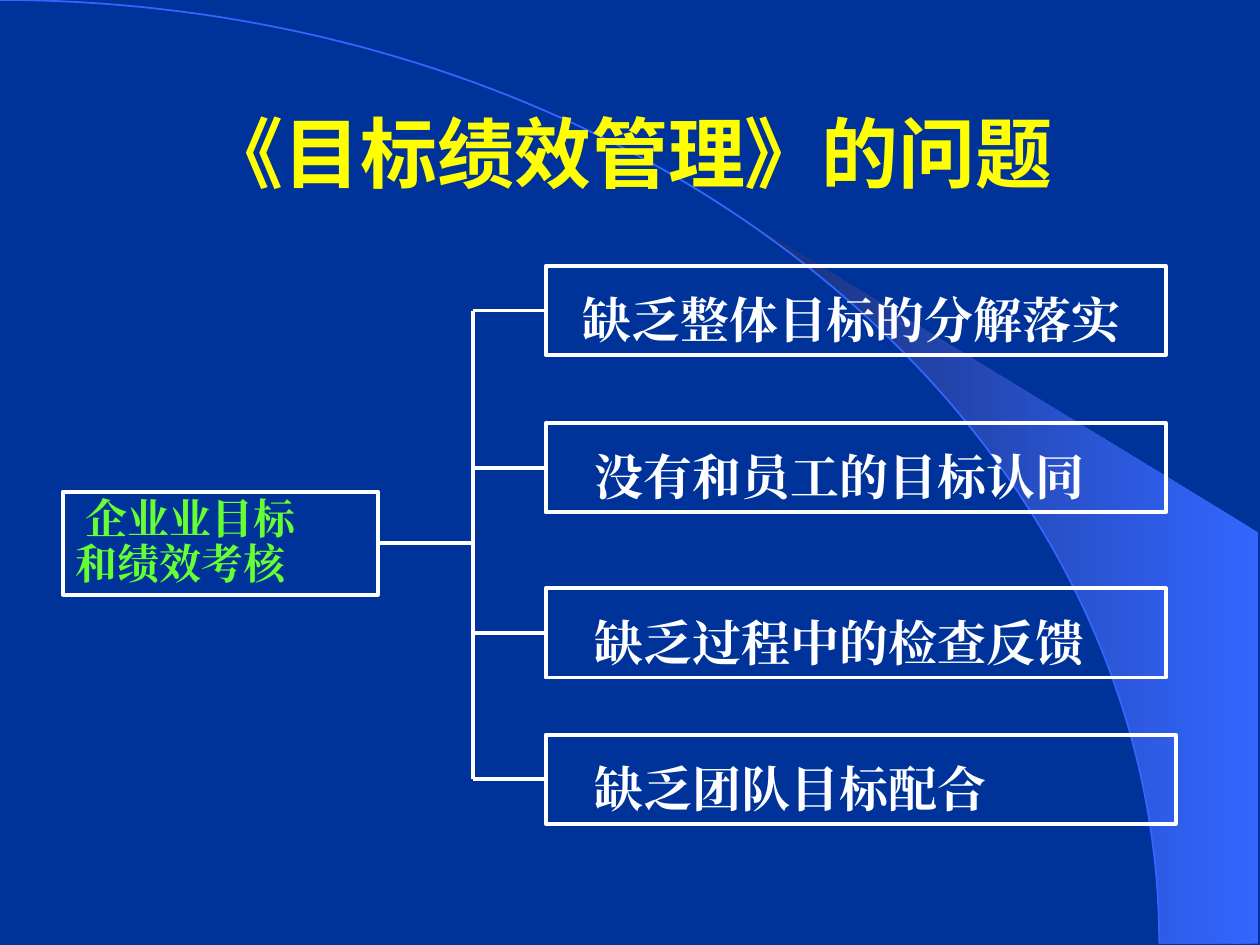
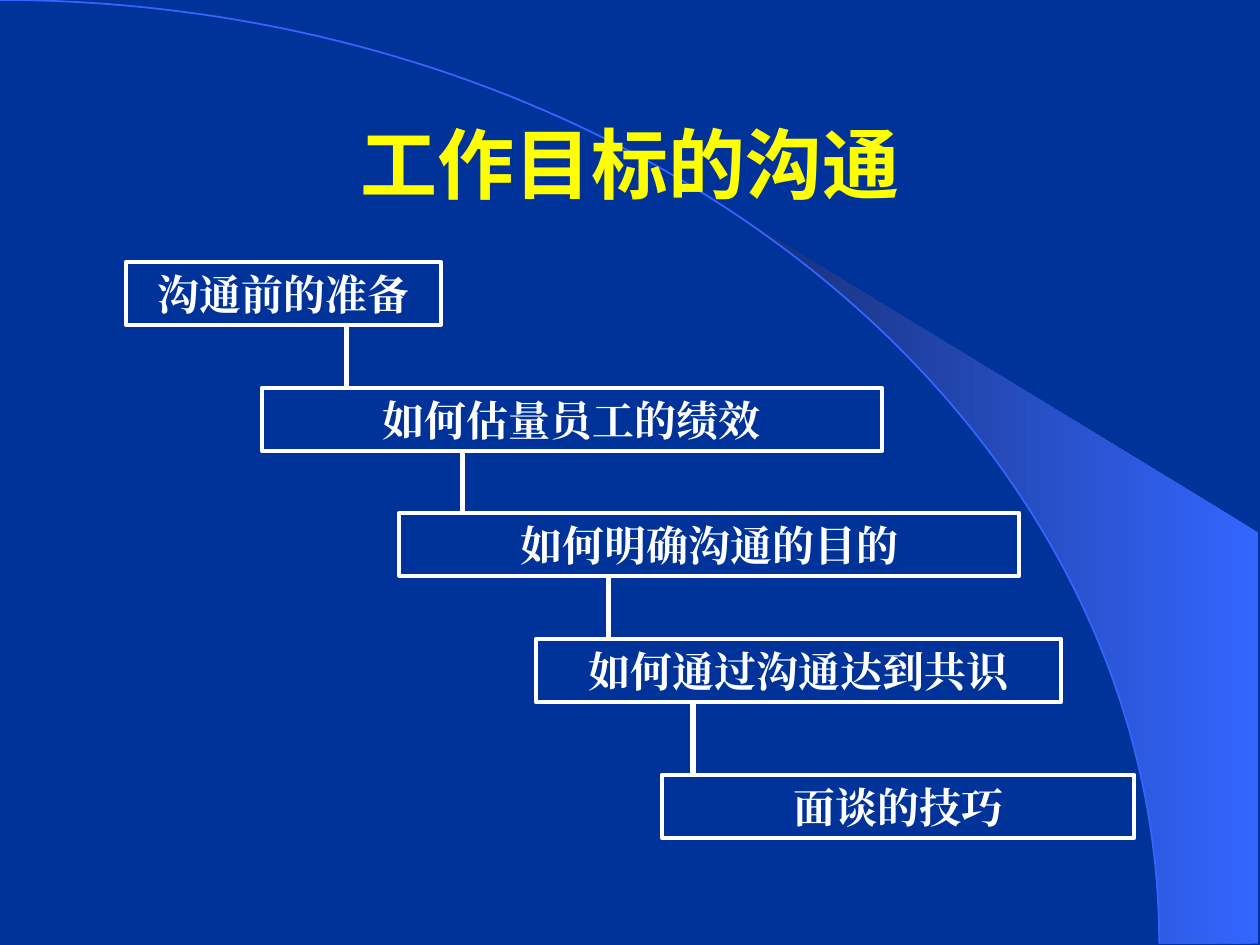
from dataclasses import dataclass
from itertools import pairwise
from math import cos, radians, sin

from lxml import etree
from pptx import Presentation
from pptx.dml.color import RGBColor
from pptx.enum.shapes import MSO_CONNECTOR, MSO_SHAPE
from pptx.enum.text import MSO_ANCHOR, PP_ALIGN
from pptx.oxml.ns import qn
from pptx.util import Cm, Pt

RECT = MSO_SHAPE.RECTANGLE
STRAIGHT = MSO_CONNECTOR.STRAIGHT
LEFT, CENTER = PP_ALIGN.LEFT, PP_ALIGN.CENTER
TOP, MIDDLE = MSO_ANCHOR.TOP, MSO_ANCHOR.MIDDLE
SIDE_LEFT, SIDE_RIGHT = 1, 3

COLORS = {
    "background": "003399",
    "beam": "3366FF",
    "beam_dark": "172F75",
    "title": "FFFF00",
    "white": "FFFFFF",
    "green": "66FF33",
}
BODY_FONT = "Times New Roman"
ARC_RX, ARC_RY = 23.37, 19.02
BEAM_START = 39.8
BEAM_RIGHT, BEAM_TOP = 25.37, 10.74
TRUNK_X = 9.53


@dataclass
class Box:
    text: str
    left: float
    top: float
    width: float
    height: float
    size: float = 24
    color: str = "white"
    align: PP_ALIGN = CENTER
    spacing: float = 1.0
    margin: float = 0
    indent: float = 0


@dataclass
class Problem(Box):
    size: float = 28
    align: PP_ALIGN = LEFT
    spacing: float = 1.3
    margin: float = 0.74


@dataclass
class Step(Box):
    height: float = 1.27
    link_x: float = 0


ROOT = Box("企业业目标\v和绩效考核", 1.27, 9.91, 6.35, 2.08, color="green",
           align=LEFT, spacing=0.9, indent=0.21)
PROBLEMS = [
    Problem("缺乏整体目标的分解落实", 11, 5.36, 12.5, 1.8, margin=0.49),
    Problem("没有和员工的目标认同", 11, 8.53, 12.5, 1.8),
    Problem("缺乏过程中的检查反馈", 11, 11.86, 12.5, 1.8),
    Problem("缺乏团队目标配合", 11, 14.81, 12.7, 1.8),
]
STEPS = [
    Step("沟通前的准备", 2.54, 5.28, 6.35, link_x=6.99),
    Step("如何估量员工的绩效", 5.28, 7.82, 12.5, link_x=9.32),
    Step("如何明确沟通的目的", 8.05, 10.34, 12.5, link_x=12.27),
    Step("如何通过沟通达到共识", 10.8, 12.88, 10.59, link_x=13.97),
    Step("面谈的技巧", 13.34, 15.62, 9.53),
]


def rgb(name: str) -> RGBColor:
    return RGBColor.from_string(COLORS[name])


def write(sp, text: str, *, size: float, color: str, font: str = BODY_FONT,
          align: PP_ALIGN = CENTER, anchor: MSO_ANCHOR = TOP,
          spacing: float = 1.0, margin: float = 0, indent: float = 0) -> None:
    tf = sp.text_frame
    tf.word_wrap = True
    tf.vertical_anchor = anchor
    p = tf.paragraphs[0]
    p.text = text
    p.alignment = align
    p.line_spacing = spacing
    pPr = p._p.get_or_add_pPr()
    pPr.set("marL", str(Cm(margin)))
    pPr.set("indent", str(Cm(indent)))
    for r in p.runs:
        r.font.size = Pt(size)
        r.font.bold = True
        r.font.name = font
        r.font.color.rgb = rgb(color)
        ea = etree.SubElement(r._r.get_or_add_rPr(), qn("a:ea"))
        ea.set("typeface", font)


def add_box(slide, box: Box):
    sp = slide.shapes.add_shape(RECT, Cm(box.left), Cm(box.top),
                                Cm(box.width), Cm(box.height))
    sp.shadow.inherit = False
    sp.fill.background()
    sp.line.color.rgb = rgb("white")
    sp.line.width = Pt(2.25)
    write(sp, box.text, size=box.size, color=box.color, align=box.align,
          spacing=box.spacing, margin=box.margin, indent=box.indent)
    return sp


def add_line(slide, x1: int, y1: int, x2: int, y2: int, width: float = 2.25):
    line = slide.shapes.add_connector(STRAIGHT, x1, y1, x2, y2)
    line.line.color.rgb = rgb("white")
    line.line.width = Pt(width)
    etree.SubElement(line._element.spPr, qn("a:effectLst"))
    return line


def arc_points(start: float, steps: int) -> list[tuple[int, int]]:
    angles = [radians(start + (90 - start) * i / steps) for i in range(steps + 1)]
    return [(Cm(ARC_RX * sin(a)), Cm(ARC_RY * (1 - cos(a)))) for a in angles]


def add_outline(slide, points: list[tuple[int, int]], close: bool):
    builder = slide.shapes.build_freeform(*points[0], scale=1.0)
    builder.add_line_segments(points[1:], close=close)
    sp = builder.convert_to_shape()
    sp.shadow.inherit = False
    return sp


def add_backdrop(slide) -> None:
    corners = [(Cm(BEAM_RIGHT), Cm(ARC_RY)), (Cm(BEAM_RIGHT), Cm(BEAM_TOP))]
    beam = add_outline(slide, arc_points(BEAM_START, 30) + corners, True)
    beam.line.fill.background()
    beam.fill.gradient()
    beam.fill.gradient_angle = 180
    for stop, name in zip(beam.fill.gradient_stops, ("beam", "beam_dark")):
        stop.color.rgb = rgb(name)
    arc = add_outline(slide, arc_points(0, 90), False)
    arc.fill.background()
    arc.line.color.rgb = rgb("beam")
    arc.line.width = Pt(1)


def add_slide(prs, title: str, top: float, font: str):
    slide = prs.slides.add_slide(prs.slide_layouts[6])
    slide.background.fill.solid()
    slide.background.fill.fore_color.rgb = rgb("background")
    add_backdrop(slide)
    tb = slide.shapes.add_textbox(Cm(1.9), Cm(top), Cm(21.6), Cm(3.18))
    write(tb, title, size=44, color="title", font=font, anchor=MIDDLE)
    return slide


def build_problems(prs) -> None:
    slide = add_slide(prs, "《目标绩效管理》的问题", 1.47, "Arial")
    trunk_x = Cm(TRUNK_X)
    root = add_box(slide, ROOT)
    root_y = root.top + root.height // 2
    stem = add_line(slide, root.left + root.width, root_y, trunk_x, root_y)
    stem.begin_connect(root, SIDE_RIGHT)
    middles = []
    for problem in PROBLEMS:
        sp = add_box(slide, problem)
        y = sp.top + sp.height // 2
        branch = add_line(slide, trunk_x, y, sp.left, y)
        branch.end_connect(sp, SIDE_LEFT)
        middles.append(y)
    add_line(slide, trunk_x, middles[0], trunk_x, middles[-1])


def build_steps(prs) -> None:
    slide = add_slide(prs, "工作目标的沟通", 1.7, "Noto Sans CJK SC")
    for step in STEPS:
        add_box(slide, step)
    for step, following in pairwise(STEPS):
        x = Cm(step.link_x)
        add_line(slide, x, Cm(step.top + step.height), x, Cm(following.top), 3)


def main() -> None:
    prs = Presentation()
    prs.slide_width, prs.slide_height = Cm(25.4), Cm(19.05)
    build_problems(prs)
    build_steps(prs)
    prs.save("out.pptx")


if __name__ == "__main__":
    main()
